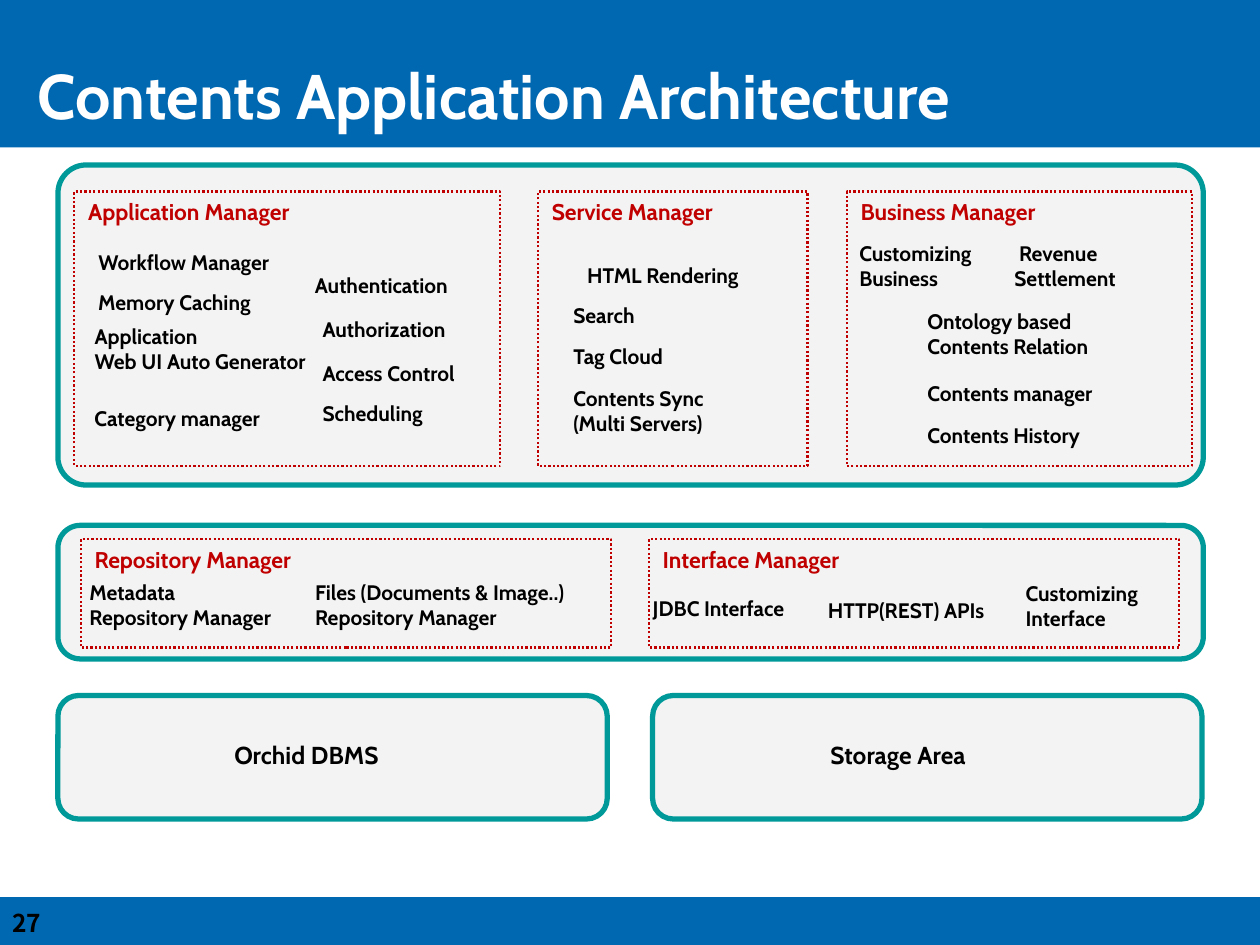
"""Build the Contents Application Architecture slide."""
from dataclasses import dataclass

from pptx import Presentation
from pptx.dml.color import RGBColor
from pptx.enum.dml import MSO_LINE
from pptx.enum.shapes import MSO_SHAPE
from pptx.enum.text import MSO_ANCHOR, PP_ALIGN
from pptx.util import Inches, Pt


@dataclass(frozen=True)
class Theme:
    font: str = "Cabin"
    digit: str = "Noto Sans CJK JP"
    blue: str = "0067B1"
    teal: str = "009999"
    red: str = "C00000"
    gray: str = "F3F3F3"
    black: str = "000000"
    white: str = "FFFFFF"
    title: int = 36
    store: int = 14
    head: int = 13
    body: int = 12


theme = Theme()
deck = Presentation()
deck.slide_width, deck.slide_height = Inches(10), Inches(7.5)
slide = deck.slides.add_slide(deck.slide_layouts[6])


def block(kind, area, fill=None, line=None, width=1):
    shape = slide.shapes.add_shape(kind, *map(Inches, area))
    shape.shadow.inherit = False
    if fill:
        shape.fill.solid()
        shape.fill.fore_color.rgb = RGBColor.from_string(fill)
    else:
        shape.fill.background()
    if line:
        shape.line.color.rgb = RGBColor.from_string(line)
        shape.line.width = Pt(width)
    else:
        shape.line.fill.background()
    return shape


def write(shape, text, size, color=theme.black, pad=(0, 0), font=theme.font,
          anchor=MSO_ANCHOR.TOP):
    frame = shape.text_frame
    frame.word_wrap = True
    frame.vertical_anchor = anchor
    frame.margin_left = frame.margin_right = Inches(pad[0])
    frame.margin_top = frame.margin_bottom = Inches(pad[1])
    para = frame.paragraphs[0]
    para.alignment = PP_ALIGN.LEFT
    for index, row in enumerate(text.split("\n")):
        if index:
            para.add_line_break()
        run = para.add_run()
        run.text = row
        run.font.name = font
        run.font.size = Pt(size)
        run.font.bold = True
        run.font.color.rgb = RGBColor.from_string(color)


for top, height in ((0, 1.17), (7.12, 0.4)):
    block(MSO_SHAPE.RECTANGLE, (0, top, 10, height), theme.blue)

title = slide.shapes.add_textbox(Inches(0.2), Inches(0.39), Inches(9.6), Inches(0.71))
write(title, "Contents Application Architecture", theme.title, theme.white,
      (0.1, 0.05), anchor=MSO_ANCHOR.MIDDLE)
number = slide.shapes.add_textbox(0, Inches(7.16), Inches(0.71), Inches(0.24))
write(number, "27", theme.store, pad=(0.1, 0.05), font=theme.digit)

panels = (
    (0.46, 1.31, 9.09, 2.54, 0.088),
    (0.46, 4.17, 9.09, 1.06, 0.167),
    (0.46, 5.52, 4.36, 0.98, 0.167),
    (5.18, 5.52, 4.36, 0.98, 0.167),
)
for *area, curve in panels:
    panel = block(MSO_SHAPE.ROUNDED_RECTANGLE, area, theme.gray, theme.teal, 3)
    panel.adjustments[0] = curve

groups = (
    ("Application Manager", 0.59, 1.52, 3.38, 2.18),
    ("Service Manager", 4.27, 1.52, 2.14, 2.18),
    ("Business Manager", 6.72, 1.52, 2.74, 2.18),
    ("Repository Manager", 0.64, 4.28, 4.21, 0.86),
    ("Interface Manager", 5.15, 4.28, 4.21, 0.86),
)
for name, *area in groups:
    group = block(MSO_SHAPE.RECTANGLE, area, line=theme.red, width=1.25)
    group.line.dash_style = MSO_LINE.ROUND_DOT
    write(group, name, theme.head, theme.red, (0.11, 0.05))

labels = (
    ("Workflow Manager", 0.78, 1.98, 2.09),
    ("Memory Caching", 0.78, 2.3, 1.54),
    ("Application\nWeb UI Auto Generator", 0.75, 2.57, 1.91),
    ("Category manager", 0.75, 3.22, 1.54),
    ("Authentication", 2.5, 2.16, 1.43),
    ("Authorization", 2.56, 2.51, 1.31),
    ("Access Control", 2.56, 2.86, 1.31),
    ("Scheduling", 2.56, 3.18, 1.31),
    ("HTML Rendering", 4.66, 2.08, 1.31),
    ("Search", 4.55, 2.4, 1.54),
    ("Tag Cloud", 4.55, 2.73, 1.54),
    ("Contents Sync\n(Multi Servers)", 4.55, 3.06, 1.54),
    ("Customizing\nBusiness", 6.82, 1.91, 1.54),
    (" Revenue\nSettlement", 8.05, 1.91, 1.31),
    ("Ontology based\nContents Relation", 7.36, 2.45, 1.54),
    ("Contents manager", 7.36, 3.02, 1.54),
    ("Contents History", 7.36, 3.35, 1.54),
    ("Metadata\nRepository Manager", 0.71, 4.6, 1.64),
    ("Files (Documents & Image..)\nRepository Manager", 2.5, 4.6, 2.28),
    ("JDBC Interface", 5.18, 4.73, 1.37),
    ("HTTP(REST) APIs", 6.57, 4.74, 1.54),
    ("Customizing\nInterface", 8.14, 4.61, 1.16),
)
for text, left, top, width in labels:
    height = 0.2 * (text.count("\n") + 1)
    label = slide.shapes.add_textbox(*map(Inches, (left, top, width, height)))
    write(label, text, theme.body)

for text, left in (("Orchid DBMS", 1.86), ("Storage Area", 6.59)):
    store = slide.shapes.add_textbox(*map(Inches, (left, 5.87, 1.54, 0.24)))
    write(store, text, theme.store)

deck.save("out.pptx")
